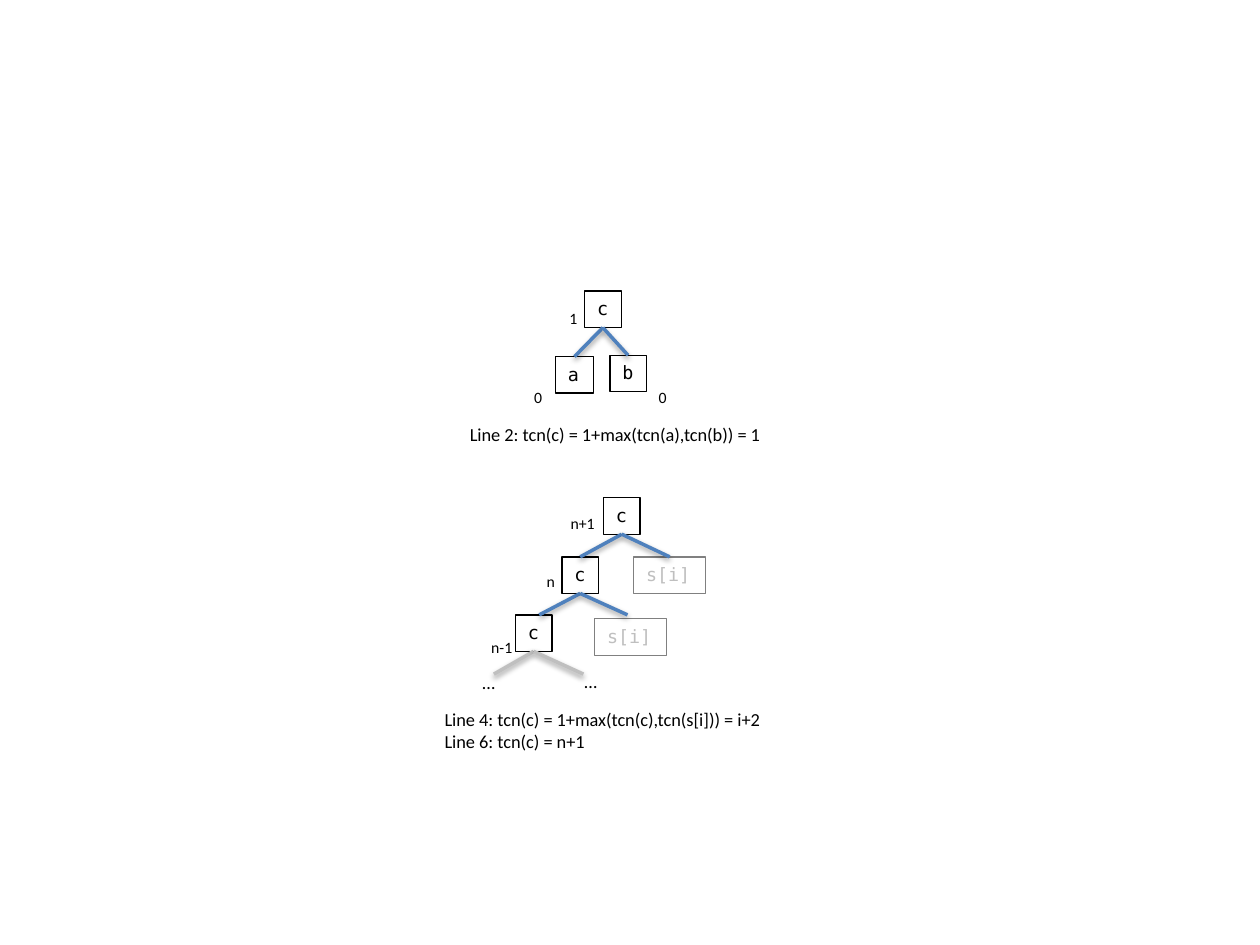
from dataclasses import dataclass
from lxml.etree import fromstring
from pptx import Presentation
from pptx.dml.color import RGBColor as Rgb
from pptx.enum.shapes import MSO_CONNECTOR as Link, MSO_SHAPE as Kind
from pptx.enum.text import MSO_ANCHOR as Anchor, MSO_AUTO_SIZE as Fit, PP_ALIGN as Align
from pptx.util import Inches, Pt

CELL = Inches(10) // 100


@dataclass(frozen=True)
class Theme:
    """Colours, fonts and type sizes."""
    ink: str = "000000"
    blue: str = "4F81BD"
    edge: str = "808080"
    pale: str = "BFBFBF"
    sans: str = "Calibri"
    mono: str = "DejaVu Sans Mono"
    body: float = 10.5
    small: float = 9


@dataclass(frozen=True)
class Box:
    """A region's top left corner on the slide's grid of 100 by 75 cells."""
    left: float
    top: float

    def at(self, col, row):
        """Turn a cell of the region into a slide position."""
        return round((self.left + col) * CELL), round((self.top + row) * CELL)

    def span(self, col, row, wide, high):
        """Turn a block of cells into left, top, width and height."""
        return *self.at(col, row), round(wide * CELL), round(high * CELL)


THEME = Theme()
SHADOW = (
    '<a:effectLst xmlns:a="http://schemas.openxmlformats.org/drawingml/2006/main">'
    '<a:outerShdw blurRad="40000" dist="20000" dir="5400000" rotWithShape="0">'
    '<a:srgbClr val="000000"><a:alpha val="38000"/></a:srgbClr>'
    '</a:outerShdw></a:effectLst>'
)


def write(shape, text, face, size, color):
    """Set a shape's text, one paragraph a line, in one style."""
    frame = shape.text_frame
    frame.text = text
    frame.word_wrap = False
    frame.auto_size = Fit.SHAPE_TO_FIT_TEXT
    frame.vertical_anchor = Anchor.TOP
    for para in frame.paragraphs:
        para.alignment = Align.LEFT
        para.font.name = face
        para.font.size = Pt(size)
        para.font.color.rgb = Rgb.from_string(color)


def node(slide, box, text, col, row, wide=2.9, edge=THEME.ink, ink=THEME.ink):
    """Draw an outlined tree node and return it."""
    shape = slide.shapes.add_shape(Kind.RECTANGLE, *box.span(col, row, wide, 2.9))
    shape.shadow.inherit = False
    shape.fill.background()
    shape.line.color.rgb = Rgb.from_string(edge)
    shape.line.width = Pt(0.75)
    write(shape, text, THEME.mono, THEME.body, ink)
    return shape


def faded(slide, box, col, row):
    """Draw a pale leaf node and return it."""
    return node(slide, box, "s[i]", col, row, 5.7, THEME.edge, THEME.pale)


def label(slide, box, text, col, row, wide=2.7, high=2.5, size=THEME.small):
    """Place plain text."""
    shape = slide.shapes.add_textbox(*box.span(col, row, wide, high))
    write(shape, text, THEME.sans, size, THEME.ink)


def branch(slide, start, end, color=THEME.blue):
    """Draw a line from a node's bottom to a point and return it."""
    line = slide.shapes.add_connector(Link.STRAIGHT, 0, 0, *end)
    line.begin_connect(start, 2)
    line.line.color.rgb = Rgb.from_string(color)
    line.line.width = Pt(2)
    line.line._get_or_add_ln().addnext(fromstring(SHADOW))
    return line


def join(slide, start, ends):
    """Link a node to the tops of its children."""
    for end in ends:
        line = branch(slide, start, (end.left + end.width // 2, end.top))
        line.end_connect(end, 0)


def pair(slide, box):
    """Draw the tree of one node over two leaves."""
    left = node(slide, box, "a", 10.1, 5.3, 3)
    right = node(slide, box, "b", 14.4, 5.2)
    root = node(slide, box, "c", 12.4, 0.1)
    join(slide, root, (left, right))
    for text, col, row in (("0", 7.4, 7.3), ("0", 17.3, 7.3), ("1", 10.2, 1)):
        label(slide, box, text, col, row)
    label(slide, box, "Line 2: tcn(c) = 1+max(tcn(a),tcn(b)) = 1",
          2.3, 10.1, 25.5, 2.8, THEME.body)


def chain(slide, box):
    """Draw the tree that descends to the left."""
    root, mid, low = (node(slide, box, "c", col, row)
                      for col, row in ((13.9, 0.5), (10.6, 5.2), (6.9, 9.8)))
    leaf = faded(slide, box, 16.3, 5.2)
    faded(slide, box, 13.2, 10.1)
    join(slide, root, (mid, leaf))
    for start, color, cols, row in (
        (mid, THEME.blue, (8.8, 15.8), 9.8),
        (low, THEME.pale, (5.2, 12.3), 14.5),
    ):
        for col in cols:
            branch(slide, start, box.at(col, row), color)
    for text, col, row, wide in (
        ("n+1", 10.3, 1.3, 4), ("n", 8.4, 5.9, 2.7), ("n-1", 4, 11.1, 3.7),
    ):
        label(slide, box, text, col, row, wide)
    for col, row in ((3.3, 13.8), (11.4, 13.7)):
        label(slide, box, "…", col, row, 3.1, 2.9, THEME.body)
    label(slide, box,
          "Line 4: tcn(c) = 1+max(tcn(c),tcn(s[i])) = i+2\nLine 6: tcn(c) = n+1",
          0.3, 16.7, 27.6, 6.3, THEME.body)


def main():
    """Build and save the slide."""
    deck = Presentation()
    deck.slide_width, deck.slide_height = 100 * CELL, 75 * CELL
    slide = deck.slides.add_slide(deck.slide_layouts[6])
    pair(slide, Box(34, 23))
    chain(slide, Box(34, 39))
    deck.save("out.pptx")


if __name__ == "__main__":
    main()
